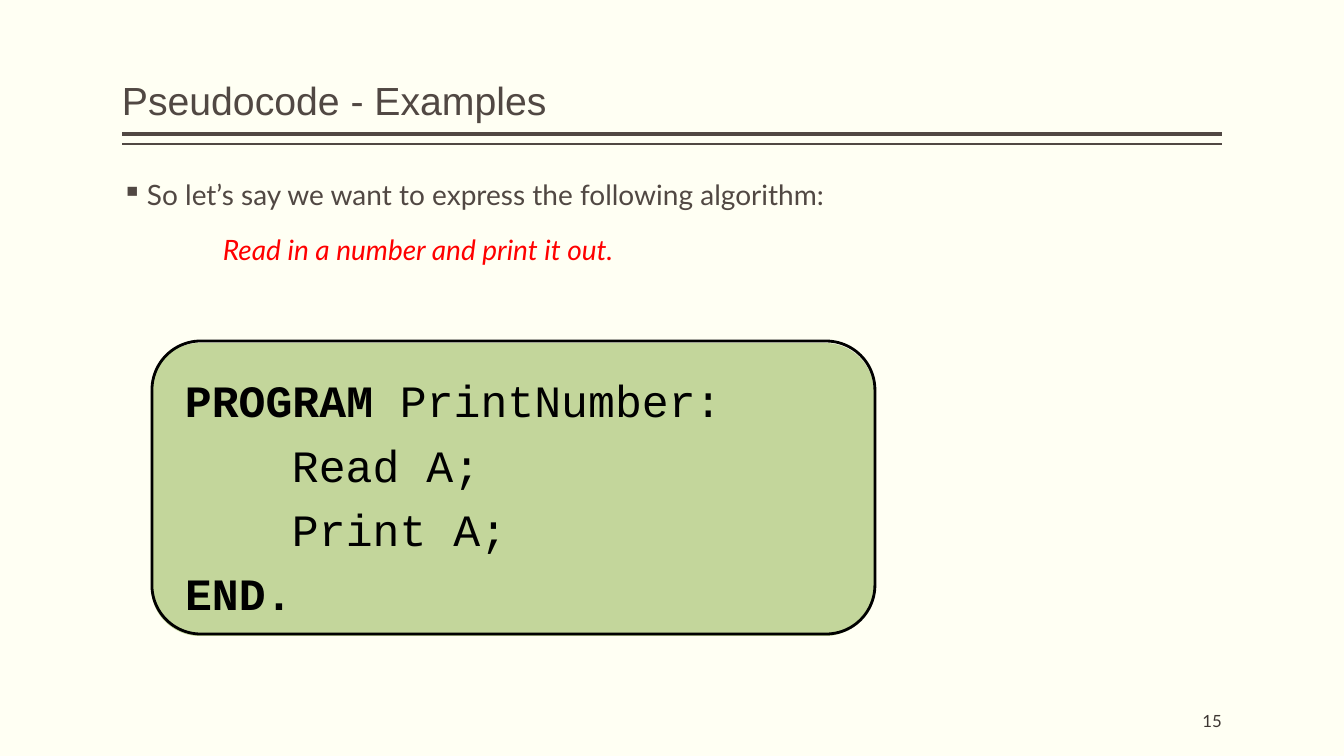
from lxml import etree
from pptx import Presentation
from pptx.dml.color import RGBColor
from pptx.enum.shapes import MSO_CONNECTOR, MSO_SHAPE
from pptx.enum.text import MSO_ANCHOR, MSO_AUTO_SIZE, PP_ALIGN
from pptx.oxml.ns import qn
from pptx.util import Emu, Pt

STRAIGHT = MSO_CONNECTOR.STRAIGHT
ROUNDED = MSO_SHAPE.ROUNDED_RECTANGLE
TOP, MIDDLE, BOTTOM = MSO_ANCHOR.TOP, MSO_ANCHOR.MIDDLE, MSO_ANCHOR.BOTTOM
LEFT, RIGHT = PP_ALIGN.LEFT, PP_ALIGN.RIGHT
NO_AUTOFIT = MSO_AUTO_SIZE.NONE

EMU_PER_PX = 914400 / 100.8
MARGIN, CONTENT_WIDTH = 122, 1100
CREAM, BROWN, DARK_BROWN = "FFFFF3", "514843", "3D3632"
GREEN, RED, BLACK = "C3D69B", "FF0000", "000000"

# Code fragments: text, left, row, bold
CODE = [
    ("PROGRAM", 185, 0, True),
    ("PrintNumber", 400, 0, False),
    (":", 695, 0, False),
    ("Read A;", 292, 1, False),
    ("Print A;", 292, 2, False),
    ("END.", 185, 3, True),
]
CODE_TOP, CODE_PITCH = 369, 64.5


def px(length):
    return Emu(round(length * EMU_PER_PX))


def rgb(value):
    return RGBColor.from_string(value)


def set_frame(frame, anchor=TOP, inset=5):
    frame.word_wrap = True
    frame.auto_size = NO_AUTOFIT
    frame.vertical_anchor = anchor
    frame.margin_left = frame.margin_right = 0
    frame.margin_top = frame.margin_bottom = px(inset)


def write(paragraph, text, font="Lato", size=20, color=BROWN, bold=False,
          italic=False, align=LEFT, spacing=0.9, before=0, after=0):
    paragraph.alignment = align
    paragraph.line_spacing = spacing
    paragraph.space_before, paragraph.space_after = Pt(before), Pt(after)
    run = paragraph.add_run()
    run.text = text
    run.font.name, run.font.size = font, Pt(size)
    run.font.bold, run.font.italic = bold, italic
    run.font.color.rgb = rgb(color)


def add_box(slide, left, top, width, height, **frame_format):
    frame = slide.shapes.add_textbox(
        px(left), px(top), px(width), px(height)).text_frame
    set_frame(frame, **frame_format)
    return frame


def indent(paragraph, left, first=0, bullet=None):
    properties = paragraph._p.get_or_add_pPr()
    properties.set("marL", str(px(left)))
    properties.set("indent", str(px(first)))
    if bullet:
        etree.SubElement(properties, qn("a:buChar")).set("char", bullet)


def add_rule(slide, y, weight):
    rule = slide.shapes.add_connector(
        STRAIGHT, px(MARGIN + CONTENT_WIDTH), px(y), px(MARGIN), px(y))
    rule.line.color.rgb = rgb(BROWN)
    rule.line.width = Pt(weight)
    etree.SubElement(rule._element.spPr, qn("a:effectLst"))


def add_panel(slide, left, top, fill=None, outline=None):
    panel = slide.shapes.add_shape(ROUNDED, px(left), px(top), px(723), px(293))
    panel.shadow.inherit = False
    if fill:
        panel.fill.solid()
        panel.fill.fore_color.rgb = rgb(fill)
    else:
        panel.fill.background()
    if outline:
        panel.line.color.rgb = rgb(outline)
        panel.line.width = Pt(2)
    else:
        panel.line.fill.background()


def add_title(slide, text):
    title = slide.shapes.title
    title.left, title.top = px(MARGIN), px(8)
    title.width, title.height = px(CONTENT_WIDTH), px(121)
    set_frame(title.text_frame, anchor=BOTTOM)
    write(title.text_frame.paragraphs[0], text, font="Arial", size=28)


def main():
    deck = Presentation()
    deck.slide_width, deck.slide_height = px(1344), px(756)
    slide = deck.slides.add_slide(deck.slide_layouts[5])
    slide.background.fill.solid()
    slide.background.fill.fore_color.rgb = rgb(CREAM)

    # Title with double rule
    add_rule(slide, 134, 3)
    add_rule(slide, 144, 1)
    add_title(slide, "Pseudocode - Examples")

    # Introduction
    body = add_box(slide, MARGIN, 176, CONTENT_WIDTH, 504)
    intro = body.paragraphs[0]
    write(intro, "So let’s say we want to express the following algorithm:",
          before=18)
    indent(intro, 25, first=-25, bullet="▪")
    algorithm = body.add_paragraph()
    write(algorithm, "Read in a number and print it out.",
          color=RED, italic=True, before=18)
    indent(algorithm, 101)

    # Page number
    page = add_box(slide, 1020, 701, 202, 40, anchor=MIDDLE)
    write(page.paragraphs[0], "15", size=12, color=DARK_BROWN,
          align=RIGHT, spacing=1.0)

    # Pseudocode panel
    add_panel(slide, 151, 343, fill=GREEN)
    add_panel(slide, 152, 341, outline=BLACK)
    for text, left, row, bold in CODE:
        width = 27 * len(text) + 10
        line = add_box(slide, left, round(CODE_TOP + row * CODE_PITCH),
                       width, 55, inset=0)
        write(line.paragraphs[0], text, font="Courier New", size=32,
              color=BLACK, bold=bold, spacing=1.07, after=8)

    deck.save("out.pptx")


main()
